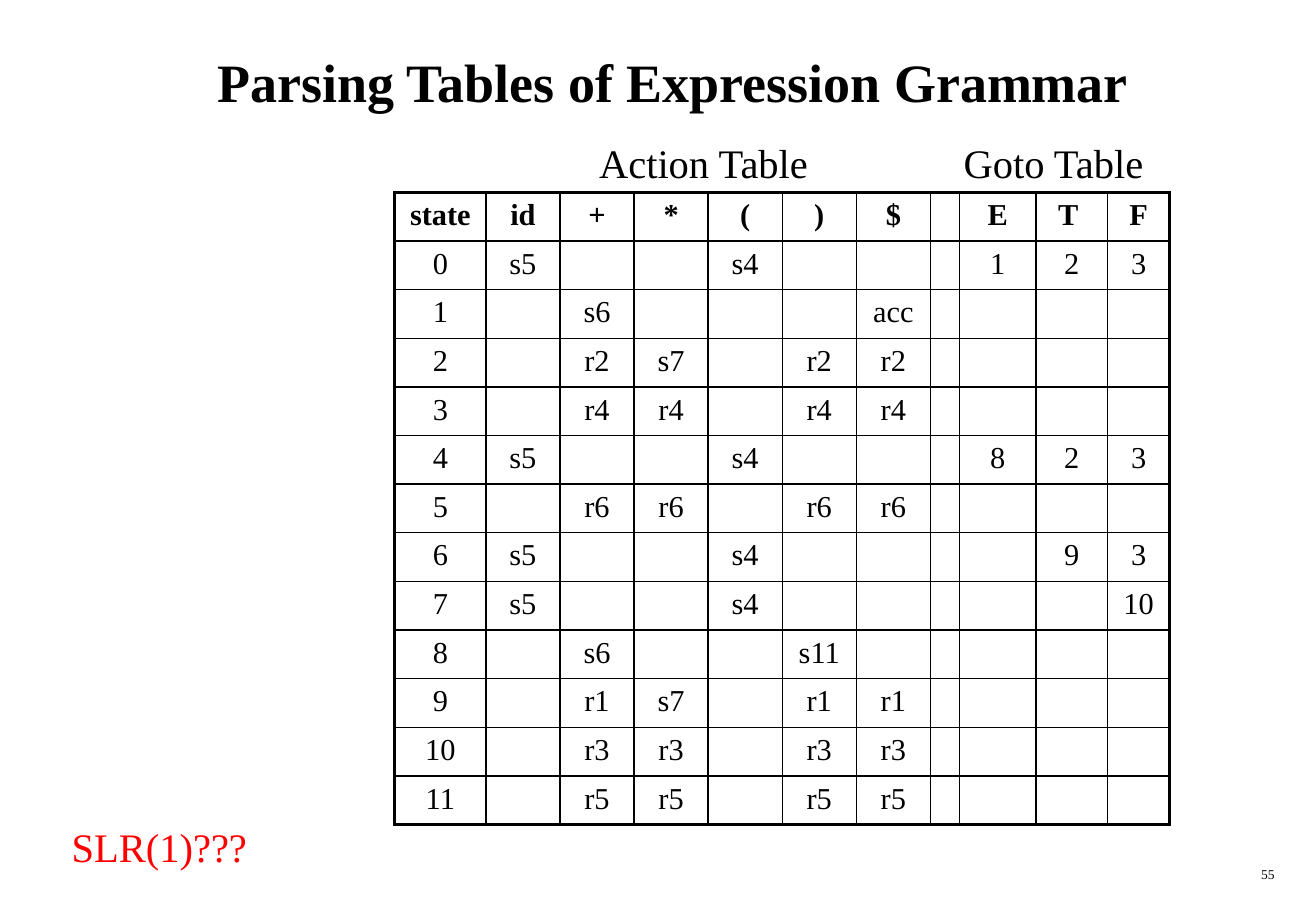
from lxml import etree
from pptx import Presentation
from pptx.dml.color import RGBColor as RGB
from pptx.enum.text import MSO_ANCHOR as Anchor, PP_ALIGN as Align
from pptx.oxml.ns import qn
from pptx.util import Inches, Pt

COLORS = {"ink": "000000", "question": "FF0000"}
FONT = "Times New Roman"

# Slide grid: 130 columns by 90 rows, twelve to the inch
UNIT = Inches(1) / 12
deck = Presentation()
deck.slide_width, deck.slide_height = round(130 * UNIT), round(90 * UNIT)
slide = deck.slides.add_slide(deck.slide_layouts[6])


def write(frame, text, size, color="ink", bold=False, align=Align.LEFT):
    frame.text = text
    paragraph = frame.paragraphs[0]
    paragraph.alignment = align
    for run in paragraph.runs:
        run.font.name, run.font.size, run.font.bold = FONT, Pt(size), bold
        run.font.color.rgb = RGB.from_string(COLORS[color])


def draw_borders(cell, widths):
    props = cell._tc.get_or_add_tcPr()
    for position, (side, width) in enumerate(widths.items()):
        line = etree.Element(qn("a:ln" + side), w=str(Pt(width)))
        fill = etree.SubElement(line, qn("a:solidFill"))
        etree.SubElement(fill, qn("a:srgbClr"), val=COLORS["ink"])
        props.insert(position, line)


# Title, table captions, question and page number, placed in grid units
captions = [
    ("Parsing Tables of Expression Grammar", (5, 2, 123, 12), 32, "ink", True, Align.CENTER),
    ("Action Table", (58, 13, 23.4, 6), 24, "ink", False, Align.LEFT),
    ("Goto Table", (94, 13, 20.5, 6), 24, "ink", False, Align.LEFT),
    ("SLR(1)???", (5.9, 80.6, 30, 6.1), 24, "question", False, Align.LEFT),
    ("55", (100, 85, 27.1, 3), 8, "ink", False, Align.RIGHT),
]
for text, place, size, color, bold, align in captions:
    caption = slide.shapes.add_textbox(*(round(n * UNIT) for n in place)).text_frame
    caption.word_wrap = True
    caption.vertical_anchor = Anchor.MIDDLE if bold else Anchor.TOP
    write(caption, text, size, color, bold, align)

# Parsing table: state, six action columns, a spacer, three goto columns
parsing_rows = [line.split("|") for line in (
    "state|id|+|*|(|)|$||E|T |F",
    "0|s5|||s4||||1|2|3",
    "1||s6||||acc||||",
    "2||r2|s7||r2|r2||||",
    "3||r4|r4||r4|r4||||",
    "4|s5|||s4||||8|2|3",
    "5||r6|r6||r6|r6||||",
    "6|s5|||s4|||||9|3",
    "7|s5|||s4||||||10",
    "8||s6|||s11|||||",
    "9||r1|s7||r1|r1||||",
    "10||r3|r3||r3|r3||||",
    "11||r5|r5||r5|r5||||",
)]
column_widths = [0.75] + [0.61] * 6 + [0.23, 0.63, 0.59, 0.51]
row_height = 0.4
last_row, last_column = len(parsing_rows) - 1, len(column_widths) - 1

parsing = slide.shapes.add_table(
    len(parsing_rows), len(column_widths), round(39 * UNIT), round(19 * UNIT),
    Inches(sum(column_widths)), Inches(row_height * len(parsing_rows))).table
parsing.first_row = parsing.horz_banding = False
for column, width in zip(parsing.columns, column_widths):
    column.width = Inches(width)

for r, entries in enumerate(parsing_rows):
    parsing.rows[r].height = Inches(row_height)
    for c, entry in enumerate(entries):
        cell = parsing.cell(r, c)
        cell.fill.background()
        if entry:
            write(cell.text_frame, entry, 18, bold=r == 0, align=Align.CENTER)
        else:
            # Keep empty cells from stretching their row
            cell.margin_top = cell.margin_bottom = 0
        # Thick outer frame, thin inner lines
        edges = {"L": c == 0, "R": c == last_column, "T": r == 0, "B": r == last_row}
        draw_borders(cell, {side: 2.25 if outer else 1 for side, outer in edges.items()})

deck.save("out.pptx")
